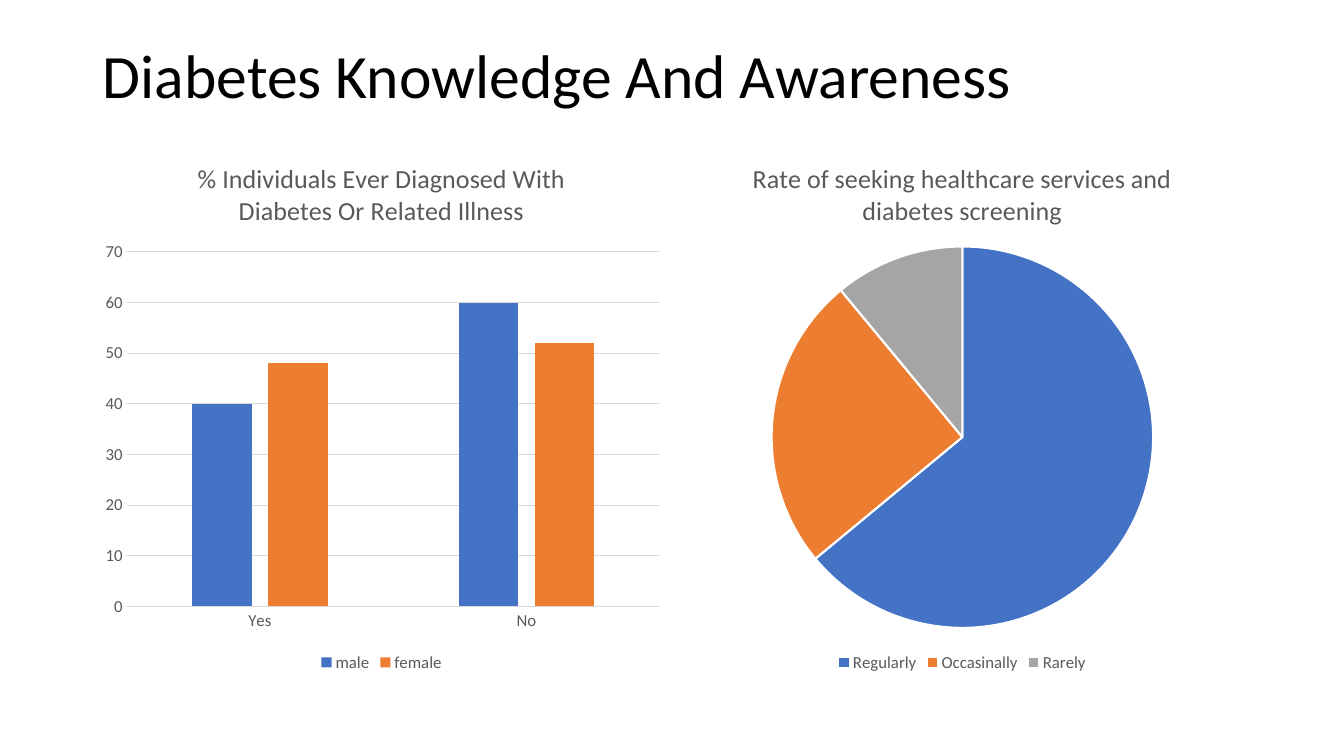
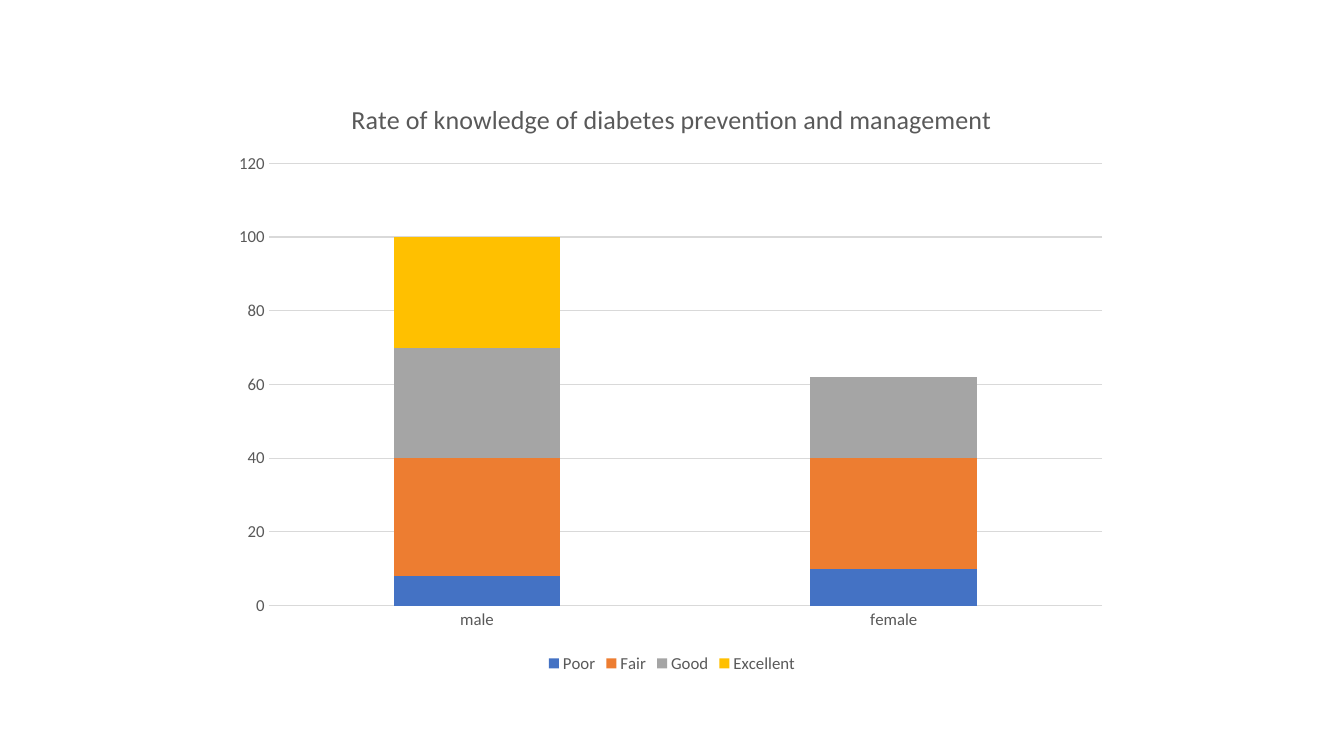
from dataclasses import dataclass

from lxml.etree import SubElement
from pptx import Presentation
from pptx.chart.data import CategoryChartData
from pptx.dml.color import RGBColor
from pptx.enum.chart import XL_CHART_TYPE as ChartType
from pptx.enum.chart import XL_LEGEND_POSITION as LegendPosition
from pptx.enum.chart import XL_TICK_MARK as TickMark
from pptx.enum.text import MSO_ANCHOR as Anchor
from pptx.enum.text import MSO_AUTO_SIZE as AutoSize
from pptx.enum.text import PP_ALIGN as Align
from pptx.oxml.ns import qn
from pptx.util import Inches, Pt

# Shared style
FONT = "Calibri"
BLACK, GRAY, GRID, WHITE = "000000", "595959", "D9D9D9", "FFFFFF"
PALETTE = ["4472C4", "ED7D31", "A5A5A5", "FFC000"]
TITLE_ONLY, BLANK = 5, 6


@dataclass(frozen=True)
class Box:
    left: float
    top: float
    width: float
    height: float


@dataclass(frozen=True)
class ChartSpec:
    kind: ChartType
    title: str
    box: Box
    plot_area: Box  # fractions of the chart
    categories: list[str]
    series: dict[str, list[float | None]]
    gap: int = 150
    overlap: int = 0
    axis_top: float = 100
    axis_step: float = 10


DIAGNOSED = ChartSpec(
    ChartType.COLUMN_CLUSTERED,
    "% Individuals Ever Diagnosed With Diabetes Or Related Illness",
    Box(0.91, 1.38, 5.75, 5.33), Box(0.06, 0.21, 0.92, 0.66),
    ["Yes", "No"], {"male": [40, 60], "female": [48, 52]},
    gap=219, overlap=-27, axis_top=70, axis_step=10,
)
SCREENING = ChartSpec(
    ChartType.PIE,
    "Rate of seeking healthcare services and diabetes screening",
    Box(6.67, 1.38, 5.75, 5.33), Box(0.17, 0.2, 0.66, 0.71),
    ["Regularly", "Occasinally", "Rarely"], {"Series 1": [64, 25, 11]},
)
KNOWLEDGE = ChartSpec(
    ChartType.COLUMN_STACKED,
    "Rate of knowledge of diabetes prevention and management",
    Box(2.22, 0.79, 8.89, 5.93), Box(0.05, 0.14, 0.93, 0.74),
    ["male", "female"],
    {"Poor": [8, 10], "Fair": [32, 30], "Good": [30, 22], "Excellent": [30, None]},
    overlap=100, axis_top=120, axis_step=20,
)


def color(value: str) -> RGBColor:
    return RGBColor.from_string(value)


def style_font(font, size: float, ink: str) -> None:
    font.name, font.size, font.bold = FONT, Pt(size), False
    font.color.rgb = color(ink)


def write_text(frame, text: str, *, size: float, ink: str = BLACK,
               align: Align | None = None, spacing: float | None = None) -> None:
    para = frame.paragraphs[0]
    if align is not None:
        para.alignment = align
    if spacing is not None:
        para.line_spacing = spacing
    span = para.add_run()
    span.text = text
    style_font(span.font, size, ink)


def add_title(slide, text: str, box: Box) -> None:
    title = slide.shapes.title
    title.left, title.top = Inches(box.left), Inches(box.top)
    title.width, title.height = Inches(box.width), Inches(box.height)
    frame = title.text_frame
    frame.word_wrap = True
    frame.auto_size = AutoSize.NONE
    frame.vertical_anchor = Anchor.TOP
    write_text(frame, text, size=44, align=Align.LEFT, spacing=0.9)


def place_plot(chart, area: Box) -> None:
    """Fix the inner plot area, in fractions of the chart."""
    plot_area = chart.plots[0]._element.getparent()
    layout = plot_area.find(qn("c:layout"))
    if layout is None:
        layout = SubElement(plot_area, qn("c:layout"))
        plot_area.insert(0, layout)
    manual = SubElement(layout, qn("c:manualLayout"))
    settings = {"layoutTarget": "inner", "xMode": "edge", "yMode": "edge",
                "x": area.left, "y": area.top, "w": area.width, "h": area.height}
    for tag, value in settings.items():
        SubElement(manual, qn(f"c:{tag}")).set("val", str(value))


def style_axes(chart, spec: ChartSpec) -> None:
    value_axis, category_axis = chart.value_axis, chart.category_axis
    for axis in (value_axis, category_axis):
        axis.major_tick_mark = axis.minor_tick_mark = TickMark.NONE
        style_font(axis.tick_labels.font, 12, GRAY)
    value_axis.minimum_scale, value_axis.maximum_scale = 0, spec.axis_top
    value_axis.major_unit = spec.axis_step
    value_axis.format.line.fill.background()
    for line in (value_axis.major_gridlines.format.line, category_axis.format.line):
        line.color.rgb = color(GRID)
        line.width = Pt(0.75)


def add_chart(slide, spec: ChartSpec) -> None:
    data = CategoryChartData()
    data.categories = spec.categories
    for name, values in spec.series.items():
        data.add_series(name, values)
    box = spec.box
    chart = slide.shapes.add_chart(
        spec.kind, Inches(box.left), Inches(box.top),
        Inches(box.width), Inches(box.height), data).chart
    style_font(chart.font, 10, BLACK)

    # Title and legend
    chart.has_title = True
    write_text(chart.chart_title.text_frame, spec.title, size=18.6, ink=GRAY)
    chart.chart_title.include_in_layout = False
    chart.has_legend = True
    chart.legend.position = LegendPosition.BOTTOM
    chart.legend.include_in_layout = False
    style_font(chart.legend.font, 12, GRAY)

    # Plot
    plot = chart.plots[0]
    is_pie = spec.kind == ChartType.PIE
    plot.vary_by_categories = is_pie
    place_plot(chart, spec.plot_area)
    if is_pie:
        points = plot.series[0].points
        parts = [points[index] for index in range(len(spec.categories))]
    else:
        parts = list(plot.series)
        plot.gap_width, plot.overlap = spec.gap, spec.overlap
        style_axes(chart, spec)
    for part, fill in zip(parts, PALETTE):
        part.format.fill.solid()
        part.format.fill.fore_color.rgb = color(fill)
        if is_pie:
            part.format.line.color.rgb = color(WHITE)
            part.format.line.width = Pt(1.5)


def main() -> None:
    deck = Presentation()
    deck.slide_width, deck.slide_height = Inches(13.33), Inches(7.5)

    # Diagnosis and screening
    awareness = deck.slides.add_slide(deck.slide_layouts[TITLE_ONLY])
    add_title(awareness, "Diabetes Knowledge And Awareness", Box(0.92, 0.4, 11.5, 1.45))
    for spec in (DIAGNOSED, SCREENING):
        add_chart(awareness, spec)

    # Knowledge of prevention
    prevention = deck.slides.add_slide(deck.slide_layouts[BLANK])
    add_chart(prevention, KNOWLEDGE)

    deck.save("out.pptx")


if __name__ == "__main__":
    main()
